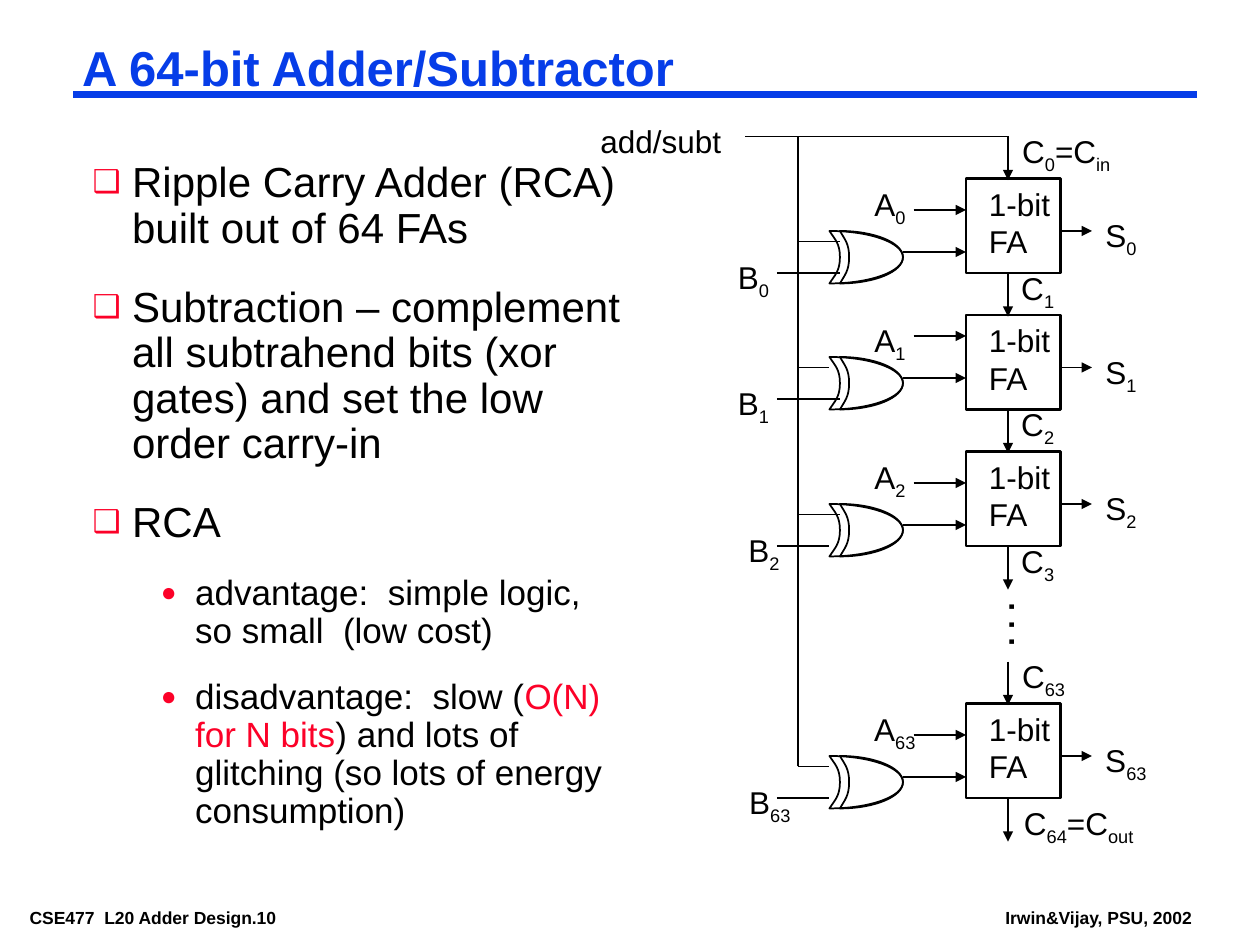
from lxml import etree
from pptx import Presentation
from pptx.dml.color import RGBColor
from pptx.enum.shapes import MSO_CONNECTOR, MSO_SHAPE
from pptx.enum.text import MSO_AUTO_SIZE
from pptx.oxml.ns import qn
from pptx.util import Pt

COLORS = {"ink": "000000", "blue": "063DE8", "red": "FC0128"}


class Deck:
    font = "Arial"

    def __init__(self, prs):
        self.s = prs.slides.add_slide(prs.slide_layouts[6])

    def color(self, name):
        return RGBColor.from_string(COLORS[name])

    def run(self, p, text, size=18, color="ink", bold=False, sub=False):
        r = p.add_run()
        r.text = text
        r.font.name, r.font.size, r.font.bold = self.font, Pt(size), bold
        r.font.color.rgb = self.color(color)
        if sub:
            r._r.get_or_add_rPr().set("baseline", "-25000")

    def box(self, x, y, w, h, wrap=False, inset=(7.2, 3.6)):
        sp = self.s.shapes.add_textbox(Pt(x), Pt(y), Pt(w), Pt(h))
        tf = sp.text_frame
        tf.word_wrap = wrap
        tf.auto_size = MSO_AUTO_SIZE.SHAPE_TO_FIT_TEXT
        tf.margin_left = tf.margin_right = Pt(inset[0])
        tf.margin_top = tf.margin_bottom = Pt(inset[1])
        return sp

    def text(self, x, y, w, h, text, wrap=False, inset=(7.2, 3.6), **style):
        sp = self.box(x, y, w, h, wrap, inset)
        self.run(sp.text_frame.paragraphs[0], text, **style)
        return sp

    def label(self, x, y, w, *parts):
        """Parts alternate between normal text and subscript."""
        p = self.box(x, y, w, 31.5).text_frame.paragraphs[0]
        for i, part in enumerate(parts):
            self.run(p, part, sub=i % 2 == 1)

    def bullet(self, p, char, indent, hang, space):
        p.line_spacing = 0.9
        if space:
            p.space_before = Pt(space)
        pPr = p._p.get_or_add_pPr()
        pPr.set("marL", str(Pt(indent)))
        pPr.set("indent", str(-Pt(hang)))
        clr = etree.SubElement(pPr, qn("a:buClr"))
        etree.SubElement(clr, qn("a:srgbClr"), val=COLORS["red"])
        etree.SubElement(pPr, qn("a:buSzPct"), val="75000")
        etree.SubElement(pPr, qn("a:buFont"), typeface=self.font)
        etree.SubElement(pPr, qn("a:buChar"), char=char)

    def line(self, x1, y1, x2, y2, arrow=False, color="ink", width=1):
        c = self.s.shapes.add_connector(
            MSO_CONNECTOR.STRAIGHT, Pt(x1), Pt(y1), Pt(x2), Pt(y2))
        c.line.color.rgb, c.line.width = self.color(color), Pt(width)
        if arrow:
            etree.SubElement(c.line._get_or_add_ln(), qn("a:tailEnd"), type="triangle")
        etree.SubElement(c._element.spPr, qn("a:effectLst"))

    def outline(self, sp, width):
        sp.shadow.inherit = False
        sp.fill.background()
        sp.line.color.rgb, sp.line.width = self.color("ink"), Pt(width)

    def square(self, x, y, size):
        sp = self.s.shapes.add_shape(MSO_SHAPE.RECTANGLE, Pt(x), Pt(y), Pt(size), Pt(size))
        self.outline(sp, 1.5)

    def gate_body(self, x, y, w, notch, h=30):
        mid, bulge = h / 2, 0.55 * w
        curves = [
            [(notch / 2, 4.7), (notch, 7), (notch, mid)],
            [(notch, h - 7), (notch / 2, h - 4.7), (0, h)],
            [(bulge, h), (w, h - 6.7), (w, mid)],
            [(w, 6.7), (bulge, 0), (0, 0)],
        ]
        fb = self.s.shapes.build_freeform(Pt(x), Pt(y))
        fb.add_line_segments([(Pt(x + c[-1][0]), Pt(y + c[-1][1])) for c in curves])
        sp = fb.convert_to_shape()
        # Turn each straight side into its curve
        sides = list(sp._element.iter(qn("a:lnTo")))
        for side, curve in zip(sides, curves):
            bez = etree.Element(qn("a:cubicBezTo"))
            for a, b in curve:
                etree.SubElement(bez, qn("a:pt"), x=str(Pt(a)), y=str(Pt(b)))
            side.getparent().replace(side, bez)
        self.outline(sp, 1)

    def xor(self, y):
        self.gate_body(480, y, 36, 5.25)
        self.gate_body(474, y, 42, 6)


prs = Presentation()
prs.slide_width, prs.slide_height = Pt(720), Pt(540)
d = Deck(prs)
thin = (5, 2.2)

# Footer, title and rule
d.text(12, 516, 188, 16, "CSE477  L20 Adder Design.10", inset=thin, size=10, bold=True)
d.text(569.5, 516, 117.5, 16, "Irwin&Vijay, PSU, 2002", inset=thin, size=10, bold=True)
d.line(42, 54, 684, 54, color="blue", width=4.5)
title = d.text(42, 24, 642, 33, "A 64-bit Adder/Subtractor", wrap=True, inset=thin,
               size=28, color="blue", bold=True)
title.text_frame.paragraphs[0].line_spacing = 0.87

# Bullet list: level, then runs of text and colour
points = [
    (0, [("Ripple Carry Adder (RCA) built out of 64 FAs", "ink")]),
    (0, [("Subtraction – complement all subtrahend bits (xor gates) "
          "and set the low order carry-in", "ink")]),
    (0, [("RCA", "ink")]),
    (1, [("advantage:  simple logic, so small  (low cost)", "ink")]),
    (1, [("disadvantage:  slow (", "ink"), ("O(N) for N bits", "red"),
         (") and lots of glitching (so lots of energy consumption)", "ink")]),
]
levels = [("❑", 22.5, 22.5, 19.5, 24), ("●", 58.5, 19.5, 16.2, 20)]
tf = d.box(48, 90, 312, 387, wrap=True, inset=thin).text_frame
for i, (level, runs) in enumerate(points):
    p = tf.add_paragraph() if i else tf.paragraphs[0]
    char, indent, hang, space, size = levels[level]
    p.level = level
    d.bullet(p, char, indent, hang, space if i else 0)
    for text, color in runs:
        d.run(p, text, size, color)

# Adder stages: bit, box top, gate top, B label left, ends of the two gate inputs
stages = [
    ("0", 102, 132, 414.5, 480, 480),
    ("1", 180, 204, 414.5, 474, 480),
    ("2", 258, 288, 420.5, 480, 474),
    ("63", 402, 432, 421, 474, 474),
]
for bit, top, gate, b_left, ctrl_end, b_end in stages:
    w = 26.5 + 6 * len(bit)
    d.square(552, top, 54)
    d.text(558, top, 67, 50, "1-bit FA", wrap=True)
    d.line(606, top + 30, 624, top + 30, arrow=True)
    d.label(624.5, top + 18, w, "S", bit)
    d.label(492.5, top, w, "A", bit)
    d.line(522, gate - 12, 552, gate - 12, arrow=True)
    d.line(516, gate + 12, 552, gate + 12, arrow=True)
    d.xor(gate)
    d.line(456, gate + 6, ctrl_end, gate + 6)
    d.line(444, gate + 24, b_end, gate + 24)
    d.label(b_left, gate + 12, w, "B", bit)

# Carry chain: arrow start, label left, top and width, label parts
carries = [
    (78, 577, 72, 65, ("C", "0", "=C", "in")),
    (156, 576.5, 150, 33, ("C", "1")),
    (234, 576.5, 228, 33, ("C", "2")),
    (312, 576.5, 306, 33, ("C", "3")),
    (378, 577, 372, 39, ("C", "63")),
    (456, 578, 456, 77, ("C", "64", "=C", "out")),
]
for start, left, top, w, parts in carries:
    d.line(576, start, 576, start + 25, arrow=True)
    d.label(left, top, w, *parts)
d.text(552, 341.5, 41, 29, ". . .", bold=True).rotation = 270

# Add/subtract control line
d.line(456, 438, 456, 78)
d.line(426, 78, 576, 78)
d.text(336, 66, 83.5, 29, "add/subt")

prs.save("out.pptx")
